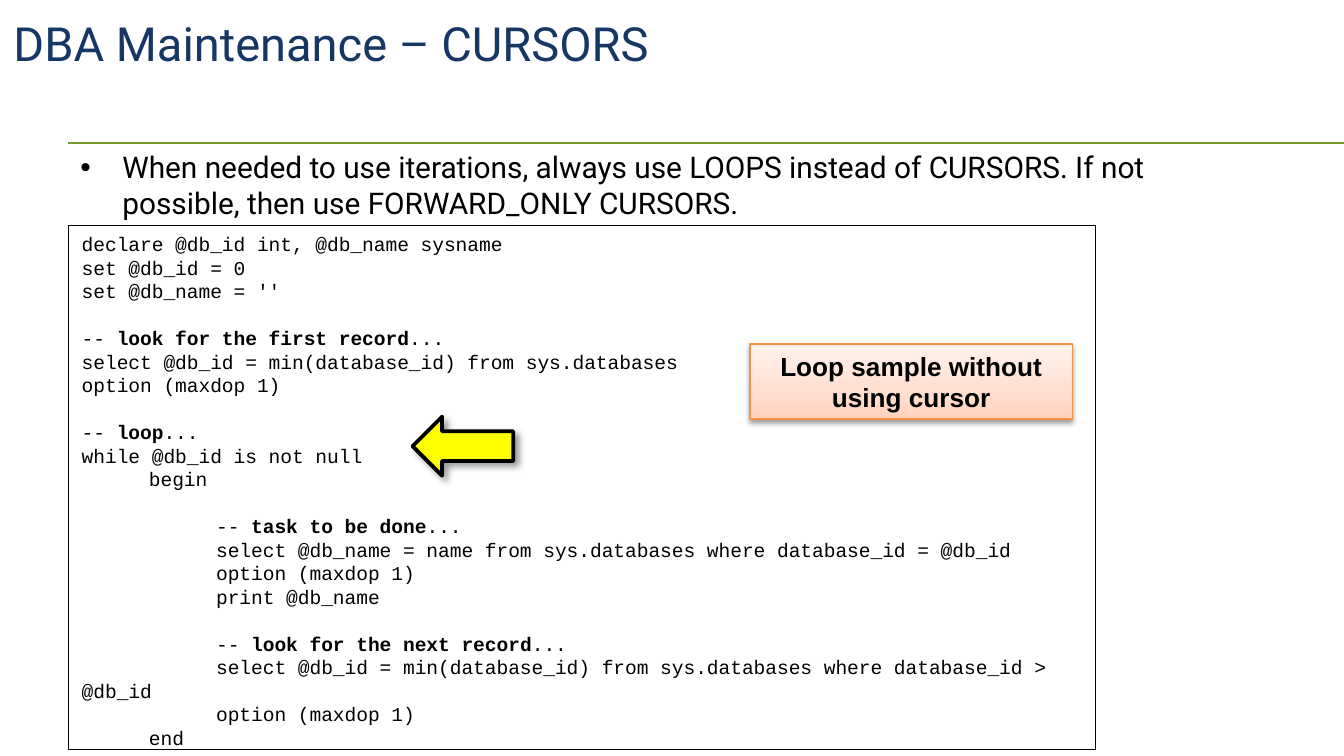
import copy

import pptx
import pptx.dml.color
import pptx.enum.shapes
import pptx.enum.text
import pptx.oxml
import pptx.oxml.ns
import pptx.util

Pt = pptx.util.Pt
SHAPE = pptx.enum.shapes.MSO_SHAPE
ANCHOR = pptx.enum.text.MSO_ANCHOR
ALIGN = pptx.enum.text.PP_ALIGN
qn = pptx.oxml.ns.qn

# Content
TITLE = "DBA Maintenance – CURSORS"
ADVICE = ("When needed to use iterations, always use LOOPS instead of CURSORS. "
          "If not possible, then use FORWARD_ONLY CURSORS.")
CALLOUT = ["Loop sample without", "using cursor"]
# Each block is (comment heading, code lines); a tab is one level of nesting
CODE_BLOCKS = [
    (None, ["declare @db_id int, @db_name sysname", "set @db_id = 0", "set @db_name = ''"]),
    ("look for the first record",
     ["select @db_id = min(database_id) from sys.databases", "option (maxdop 1)"]),
    ("loop", ["while @db_id is not null", "\tbegin"]),
    ("task to be done",
     ["\t\tselect @db_name = name from sys.databases where database_id = @db_id",
      "\t\toption (maxdop 1)", "\t\tprint @db_name"]),
    ("look for the next record",
     ["\t\tselect @db_id = min(database_id) from sys.databases where database_id > @db_id",
      "\t\toption (maxdop 1)", "\tend"]),
]

# Style and layout, in points
COLORS = {"title": "163764", "text": "000000", "rule": "75982F", "paper": "FFFFFF",
          "arrow": "FFFF00", "callout_line": "F69240"}
CALLOUT_STOPS = [(0, "FFD2BD"), (0.35, "FFDED0"), (1, "FFF2ED")]
FONTS = {
    "title": {"name": "Roboto", "size": Pt(25.2), "bold": False},
    "advice": {"name": "Roboto", "size": Pt(16), "bold": False},
    "code": {"name": "Courier New", "size": Pt(10.5), "bold": False},
    "callout": {"name": "Arial", "size": Pt(14), "bold": True},
}
BOXES = {
    "title": (0, 4.3, 720, 37.4),
    "advice": (36, 76.3, 624.2, 67.7),
    "code": (36.7, 120.9, 550.1, 280.8),
    "arrow": (221, 223.2, 54, 31.7),
    "callout": (401.8, 184.3, 172.8, 40.3),
}
RULE_Y = 76.7
LINE_HEIGHT = 12.58
TAB_WIDTH = 36
BULLET_INDENT = 22.5


def rgb(value):
    return pptx.dml.color.RGBColor.from_string(value)


def apply(target, values):
    for name, value in values.items():
        setattr(target, name, value)


def place(name):
    return [Pt(value) for value in BOXES[name]]


def add_run(paragraph, text, style, color="text", **changes):
    run = paragraph.add_run()
    run.text = text
    apply(run.font, {**FONTS[style], **changes})
    run.font.color.rgb = rgb(COLORS[color])


def set_frame(frame, anchor):
    apply(frame, {"word_wrap": True, "vertical_anchor": anchor,
                  "margin_left": Pt(7.2), "margin_right": Pt(7.2),
                  "margin_top": Pt(3.6), "margin_bottom": Pt(3.6)})


def add_shape(slide, preset, name, line_color, line_width, fill_color=None):
    shape = slide.shapes.add_shape(preset, *place(name))
    shape.shadow.inherit = False
    if fill_color:
        shape.fill.solid()
        shape.fill.fore_color.rgb = rgb(COLORS[fill_color])
    shape.line.color.rgb = rgb(COLORS[line_color])
    shape.line.width = Pt(line_width)
    return shape


def add_shadow(shape, opacity, blur, distance, angle):
    effects = shape._element.spPr.find(qn("a:effectLst"))
    effects.append(pptx.oxml.parse_xml(
        f'<a:outerShdw {pptx.oxml.ns.nsdecls("a")} blurRad="{Pt(blur)}" dist="{Pt(distance)}" '
        f'dir="{angle * 60000}" algn="tl" rotWithShape="0"><a:srgbClr val="{COLORS["text"]}">'
        f'<a:alpha val="{opacity * 1000}"/></a:srgbClr></a:outerShdw>'))


def add_tabs(paragraph):
    stops = "".join(f'<a:tab pos="{Pt(TAB_WIDTH * level)}" algn="l"/>' for level in (1, 2))
    paragraph._p.get_or_add_pPr().append(pptx.oxml.parse_xml(
        f'<a:tabLst {pptx.oxml.ns.nsdecls("a")}>{stops}</a:tabLst>'))


def add_code(frame):
    paragraph = frame.paragraphs[0]
    for block_index, (heading, lines) in enumerate(CODE_BLOCKS):
        block = [[(line, False)] for line in lines]
        if heading:
            tabs = "\t" * (lines[0].count("\t"))
            block.insert(0, [(tabs + "-- ", False), (heading, True), ("...", False)])
        for line_index, runs in enumerate(block):
            if block_index or line_index:
                paragraph = frame.add_paragraph()
            gap = LINE_HEIGHT if block_index and not line_index else 0
            apply(paragraph, {"alignment": ALIGN.LEFT, "line_spacing": Pt(LINE_HEIGHT),
                              "space_before": Pt(gap)})
            add_tabs(paragraph)
            for text, bold in runs:
                add_run(paragraph, text, "code", bold=bold)


def main():
    presentation = pptx.Presentation()
    apply(presentation, {"slide_width": Pt(720), "slide_height": Pt(405)})
    slide = presentation.slides.add_slide(presentation.slide_layouts[5])

    # Rule under the heading
    rule = slide.shapes.add_connector(pptx.enum.shapes.MSO_CONNECTOR.STRAIGHT,
                                      Pt(36.7), Pt(RULE_Y), Pt(720), Pt(RULE_Y))
    rule.line.color.rgb = rgb(COLORS["rule"])
    rule.line.width = Pt(1)
    rule._element.spPr.append(pptx.oxml.parse_xml(
        f'<a:effectLst {pptx.oxml.ns.nsdecls("a")}/>'))

    # Title
    title = slide.shapes.title
    apply(title, dict(zip(("left", "top", "width", "height"), place("title"))))
    set_frame(title.text_frame, ANCHOR.MIDDLE)
    paragraph = title.text_frame.paragraphs[0]
    paragraph.alignment = ALIGN.LEFT
    add_run(paragraph, TITLE, "title", "title")

    # Bulleted advice
    advice = slide.shapes.add_textbox(*place("advice"))
    set_frame(advice.text_frame, ANCHOR.TOP)
    paragraph = advice.text_frame.paragraphs[0]
    add_run(paragraph, ADVICE, "advice")
    properties = paragraph._p.get_or_add_pPr()
    properties.set("marL", str(Pt(BULLET_INDENT)))
    properties.set("indent", str(-Pt(BULLET_INDENT)))
    for tag, name, value in (("buFont", "typeface", "Arial"), ("buChar", "char", "•")):
        properties.append(pptx.oxml.parse_xml(
            f'<a:{tag} {pptx.oxml.ns.nsdecls("a")} {name}="{value}"/>'))

    # Code listing
    code = add_shape(slide, SHAPE.RECTANGLE, "code", "text", 0.75, "paper")
    set_frame(code.text_frame, ANCHOR.TOP)
    add_code(code.text_frame)

    # Arrow pointing at the loop
    arrow = add_shape(slide, SHAPE.LEFT_ARROW, "arrow", "text", 2, "arrow")
    add_shadow(arrow, 40, 4, 3, 45)

    # Callout with a three-stop gradient
    callout = add_shape(slide, SHAPE.RECTANGLE, "callout", "callout_line", 0.75)
    callout.fill.gradient()
    callout.fill.gradient_angle = 90
    stop_list = callout._element.spPr.find(qn("a:gradFill")).find(qn("a:gsLst"))
    stop_list.append(copy.deepcopy(stop_list[0]))
    for stop, (position, color) in zip(callout.fill.gradient_stops, CALLOUT_STOPS):
        stop.position = position
        stop.color.rgb = rgb(color)
    add_shadow(callout, 38, 3.1, 1.6, 90)
    set_frame(callout.text_frame, ANCHOR.MIDDLE)
    for index, line in enumerate(CALLOUT):
        frame = callout.text_frame
        paragraph = frame.add_paragraph() if index else frame.paragraphs[0]
        paragraph.alignment = ALIGN.CENTER
        add_run(paragraph, line, "callout")

    presentation.save("out.pptx")


if __name__ == "__main__":
    main()
